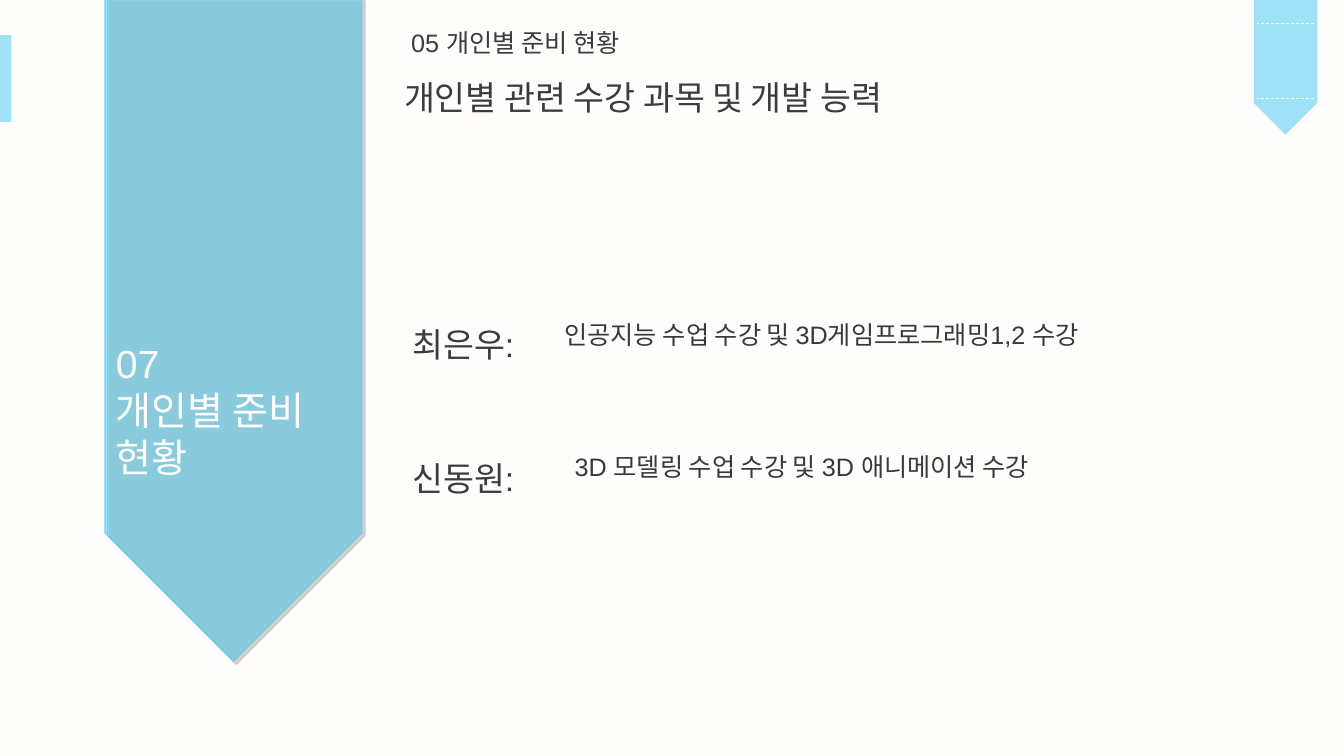
from dataclasses import dataclass

import lxml.etree
import pptx
import pptx.dml.color
import pptx.enum.dml
import pptx.enum.shapes
import pptx.enum.text
import pptx.oxml.ns
import pptx.shapes.autoshape
import pptx.shapes.connector
import pptx.slide
import pptx.util

Inches = pptx.util.Inches
Pt = pptx.util.Pt
RGB = pptx.dml.color.RGBColor
Shapes = pptx.enum.shapes.MSO_SHAPE
Align = pptx.enum.text.PP_ALIGN
AutoSize = pptx.enum.text.MSO_AUTO_SIZE
qn = pptx.oxml.ns.qn


@dataclass(frozen=True)
class Theme:
    font: str = "Arial"
    paper: str = "FEFDFC"
    sky: str = "42C7F1"
    white: str = "FFFFFF"
    heading: str = "3C3C3C"
    body: str = "3A3838"
    shade: str = "2A1A03"
    small: int = 18
    medium: int = 24
    large: int = 28
    opacity: int = 50


THEME = Theme()


@dataclass(frozen=True)
class Box:
    left: float
    top: float
    width: float
    height: float


@dataclass(frozen=True)
class Label:
    box: Box
    lines: tuple[str, ...]
    size: int
    color: str
    wrap: bool = False
    grow: bool = True
    align: Align | None = None


LABELS = (
    Label(Box(3.98, 0.22, 2.46, 0.4), ("05 개인별 준비 현황",), THEME.small, THEME.heading),
    Label(Box(3.91, 0.71, 5.47, 0.5), ("개인별 관련 수강 과목 및 개발 능력",),
          THEME.medium, THEME.heading),
    Label(Box(3.99, 3.16, 1.33, 0.49), ("최은우:",), THEME.medium, THEME.heading,
          align=Align.JUSTIFY),
    Label(Box(3.99, 4.49, 1.3, 0.5), ("신동원:",), THEME.medium, THEME.heading),
    Label(Box(5.5, 3.12, 6.44, 0.63), ("인공지능 수업 수강 및 3D게임프로그래밍1,2 수강",),
          THEME.small, THEME.body, wrap=True, grow=False),
    Label(Box(5.6, 4.43, 6.44, 0.63), ("3D 모델링 수업 수강 및 3D 애니메이션 수강",),
          THEME.small, THEME.body, wrap=True, grow=False),
    Label(Box(1.05, 3.32, 2.53, 1.51), ("07", "개인별 준비 현황"),
          THEME.large, THEME.white, wrap=True),
)


def add_alpha(color: lxml.etree._Element, percent: int) -> None:
    """Set the opacity of a colour element."""
    lxml.etree.SubElement(color, qn("a:alpha")).set("val", str(percent * 1000))


def add_panel(shapes, kind: Shapes, box: Box, rotation: int = 0,
              outlined: bool = False) -> pptx.shapes.autoshape.Shape:
    """Draw a translucent sky-blue shape."""
    sp = shapes.add_shape(kind, Inches(box.left), Inches(box.top),
                          Inches(box.width), Inches(box.height))
    sp.rotation = rotation
    sp.shadow.inherit = False
    sp.fill.solid()
    sp.fill.fore_color.rgb = RGB.from_string(THEME.sky)
    if outlined:
        sp.line.color.rgb = RGB.from_string(THEME.sky)
        sp.line.width = Pt(1)
    else:
        sp.line.fill.background()
    for color in sp.element.spPr.iter(qn("a:srgbClr")):
        add_alpha(color, THEME.opacity)
    return sp


def add_shadow(sp: pptx.shapes.autoshape.Shape) -> None:
    """Cast a hard shadow to the lower right."""
    effects = sp.element.spPr.find(qn("a:effectLst"))
    shadow = lxml.etree.SubElement(effects, qn("a:outerShdw"))
    for name, value in (("blurRad", 0), ("dist", Pt(3)), ("dir", 45 * 60000),
                        ("algn", "tl"), ("rotWithShape", 0)):
        shadow.set(name, str(value))
    color = lxml.etree.SubElement(shadow, qn("a:srgbClr"))
    color.set("val", THEME.shade)
    add_alpha(color, 40)


def add_stitch(shapes, y: float) -> pptx.shapes.connector.Connector:
    """Draw a dashed white line across the small ribbon."""
    line = shapes.add_connector(pptx.enum.shapes.MSO_CONNECTOR.STRAIGHT,
                                Inches(13.03), Inches(y), Inches(12.47), Inches(y))
    line.line.color.rgb = RGB.from_string(THEME.white)
    line.line.width = Pt(0.5)
    line.line.dash_style = pptx.enum.dml.MSO_LINE.DASH
    lxml.etree.SubElement(line.element.spPr, qn("a:effectLst"))
    return line


def add_label(s: pptx.slide.Slide, label: Label) -> None:
    """Write a text box, one paragraph per line."""
    box = label.box
    sp = s.shapes.add_textbox(Inches(box.left), Inches(box.top),
                              Inches(box.width), Inches(box.height))
    tf = sp.text_frame
    tf.word_wrap = label.wrap
    tf.auto_size = AutoSize.SHAPE_TO_FIT_TEXT if label.grow else AutoSize.NONE
    for i, line in enumerate(label.lines):
        p = tf.add_paragraph() if i else tf.paragraphs[0]
        p.alignment = label.align
        r = p.add_run()
        r.text = line
        r.font.name = THEME.font
        r.font.size = Pt(label.size)
        r.font.color.rgb = RGB.from_string(label.color)


def main() -> None:
    """Build and save the slide."""
    prs = pptx.Presentation()
    prs.slide_width, prs.slide_height = Inches(13.33), Inches(7.5)
    s = prs.slides.add_slide(prs.slide_layouts[6])
    s.background.fill.solid()
    s.background.fill.fore_color.rgb = RGB.from_string(THEME.paper)

    add_panel(s.shapes, Shapes.RECTANGLE, Box(0, 0.35, 0.11, 0.86))
    bookmark = s.shapes.add_group_shape()
    add_panel(bookmark.shapes, Shapes.PENTAGON, Box(12.08, 0.35, 1.34, 0.63), rotation=90)
    for y in (0.98, 0.23):
        add_stitch(bookmark.shapes, y)
    banner = add_panel(s.shapes, Shapes.PENTAGON, Box(-0.98, 1.99, 6.59, 2.55),
                       rotation=90, outlined=True)
    add_shadow(banner)
    for label in LABELS:
        add_label(s, label)
    prs.save("out.pptx")


if __name__ == "__main__":
    main()
